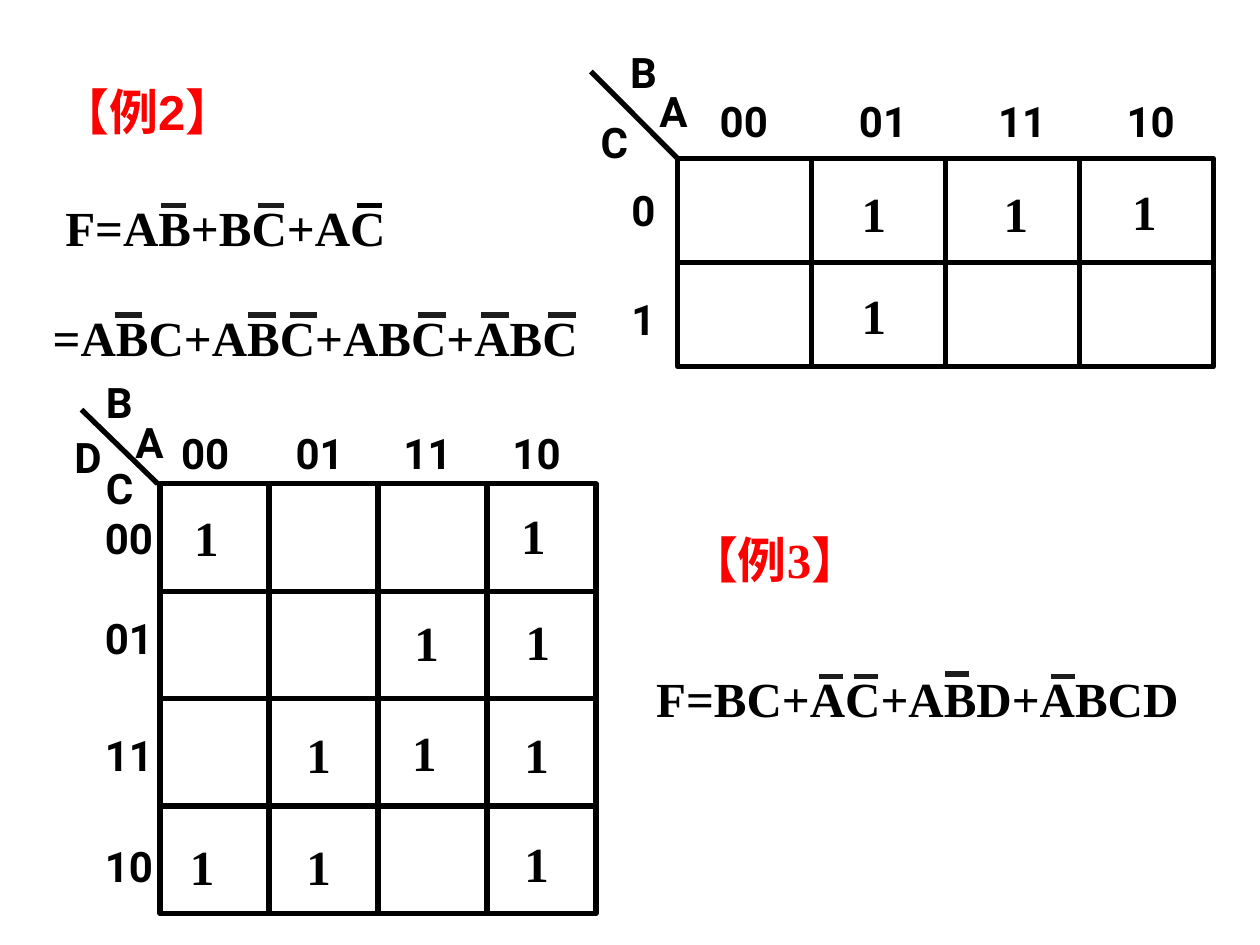
from dataclasses import dataclass

from lxml.etree import SubElement
from pptx import Presentation
from pptx.dml.color import RGBColor
from pptx.enum.shapes import MSO_CONNECTOR as CONN, MSO_SHAPE as SHAPE
from pptx.enum.text import MSO_ANCHOR as ANCHOR
from pptx.oxml.ns import qn
from pptx.util import Inches, Pt

BLACK = RGBColor(0x00, 0x00, 0x00)
CHARCOAL = RGBColor(0x1C, 0x1C, 0x1C)
RED = RGBColor(0xFF, 0x00, 0x00)
WHITE = RGBColor(0xFF, 0xFF, 0xFF)

LABEL = {"name": "Roboto", "size": Pt(24), "bold": True}
MATH = {"name": "Times New Roman", "size": Pt(28), "bold": True}
TITLE = {"name": "Arial", "size": Pt(28), "bold": True}


@dataclass
class Grid:
    left: float
    top: float
    width: float
    height: float
    cols: int
    rows: int

    def x(self, col):
        return self.left + col * self.width / self.cols

    def y(self, row):
        return self.top + row * self.height / self.rows

    def point(self, col, row):
        return self.x(col), self.y(row)


def add_text(shapes, text, box, fmt, color=BLACK, anchor=ANCHOR.TOP):
    sp = shapes.add_textbox(*map(Inches, box))
    tf = sp.text_frame
    tf.word_wrap = True
    tf.vertical_anchor = anchor
    r = tf.paragraphs[0].add_run()
    r.text = text
    for key, value in fmt.items():
        setattr(r.font, key, value)
    r.font.color.rgb = color


def add_line(shapes, start, end, color=BLACK):
    cxn = shapes.add_connector(CONN.STRAIGHT, *map(Inches, (*start, *end)))
    cxn.line.color.rgb = color
    cxn.line.width = Pt(3)
    SubElement(cxn._element.spPr, qn("a:effectLst"))


def add_cell(shapes, grid, col, row):
    size = grid.width / grid.cols, grid.height / grid.rows
    sp = shapes.add_shape(SHAPE.RECTANGLE, *map(Inches, (*grid.point(col, row), *size)))
    sp.shadow.inherit = False
    sp.fill.background()
    sp.line.color.rgb = BLACK
    sp.line.width = Pt(3)


def add_formula(slide, text, box, bars, bar_width):
    shapes = slide.shapes.add_group_shape().shapes
    add_text(shapes, text, box, MATH)
    for x, y, color in bars:
        add_line(shapes, (x, y), (x + bar_width, y), color)


def add_map(slide, grid, diagonal, labels, marks, mark_width):
    shapes = slide.shapes.add_group_shape().shapes
    for row in reversed(range(grid.rows)):
        for col in reversed(range(grid.cols)):
            add_cell(shapes, grid, col, row)
    for row in range(grid.rows + 1):
        add_line(shapes, grid.point(0, row), grid.point(grid.cols, row))
    for col in range(grid.cols + 1):
        add_line(shapes, grid.point(col, 0), grid.point(col, grid.rows))
    add_line(shapes, *(grid.point(*end) for end in diagonal))
    for text, col, row in labels:
        width = 0.47 if text.isalpha() else 0.63
        add_text(shapes, text, (*grid.point(col, row), width, 0.5), LABEL)
    for col, row in marks:
        add_text(slide.shapes, "1", (*grid.point(col, row), mark_width, 0.57), MATH)


def add_example_2(slide):
    add_text(slide.shapes, "【例2】", (0.38, 0.63, 2.08, 0.53), TITLE, RED, ANCHOR.BOTTOM)
    add_formula(slide, "F=AB+BC+AC", (0.42, 1.52, 2.83, 0.57),
                [(1.28, 1.63, CHARCOAL), (2.05, 1.63, CHARCOAL), (2.83, 1.63, BLACK)], 0.2)
    add_formula(slide, "=ABC+ABC+ABC+ABC", (0.32, 2.39, 4.58, 0.57),
                [(x, 2.5, CHARCOAL) for x in (0.91, 1.97, 2.3, 3.32, 3.82, 4.35)], 0.22)
    labels = [("B", -0.45, -1.14), ("A", -0.23, -0.76), ("C", -0.67, -0.47),
              ("0", -0.44, 0.19), ("1", -0.44, 1.24)]
    labels += [(text, col, -0.67) for text, col in
               (("00", 0.22), ("01", 1.26), ("11", 2.3), ("10", 3.26))]
    marks = [(1.28, 1.16), (1.28, 0.18), (2.34, 0.18), (3.3, 0.16)]
    add_map(slide, Grid(5.38, 1.26, 4.25, 1.65, 4, 2), [(-0.65, -0.84), (0, 0)],
            labels, marks, 0.61)


def add_example_3(slide):
    add_text(slide.shapes, "【例3】", (5.37, 4.15, 1.91, 0.57), MATH, RED)
    add_formula(slide, "F=BC+AC+ABD+ABCD", (5.11, 5.26, 4.48, 0.57),
                [(6.5, 5.37, CHARCOAL), (6.78, 5.37, CHARCOAL),
                 (7.5, 5.35, CHARCOAL), (8.34, 5.37, CHARCOAL)], 0.19)
    labels = [("B", -0.61, -1.06), ("A", -0.34, -0.68), ("D", -0.9, -0.54), ("C", -0.61, -0.26)]
    labels += [(text, col, -0.58) for text, col in
               (("00", 0.08), ("01", 1.13), ("11", 2.12), ("10", 3.12))]
    labels += [(text, -0.62, row) for text, row in
               (("00", 0.21), ("01", 1.14), ("11", 2.23), ("10", 3.26))]
    marks = [(0.2, 0.16), (3.2, 0.14),
             (2.22, 1.14), (3.24, 1.13),
             (1.23, 2.18), (2.2, 2.16), (3.23, 2.18),
             (0.16, 3.23), (1.23, 3.23), (3.23, 3.2)]
    add_map(slide, Grid(1.27, 3.84, 3.46, 3.41, 4, 4), [(-0.02, 0), (-0.72, -0.69)],
            labels, marks, 0.65)


def main():
    prs = Presentation()
    prs.slide_width, prs.slide_height = Inches(10), Inches(7.5)
    slide = prs.slides.add_slide(prs.slide_layouts[6])
    slide.background.fill.solid()
    slide.background.fill.fore_color.rgb = WHITE
    add_example_2(slide)
    add_example_3(slide)
    prs.save("out.pptx")


if __name__ == "__main__":
    main()
